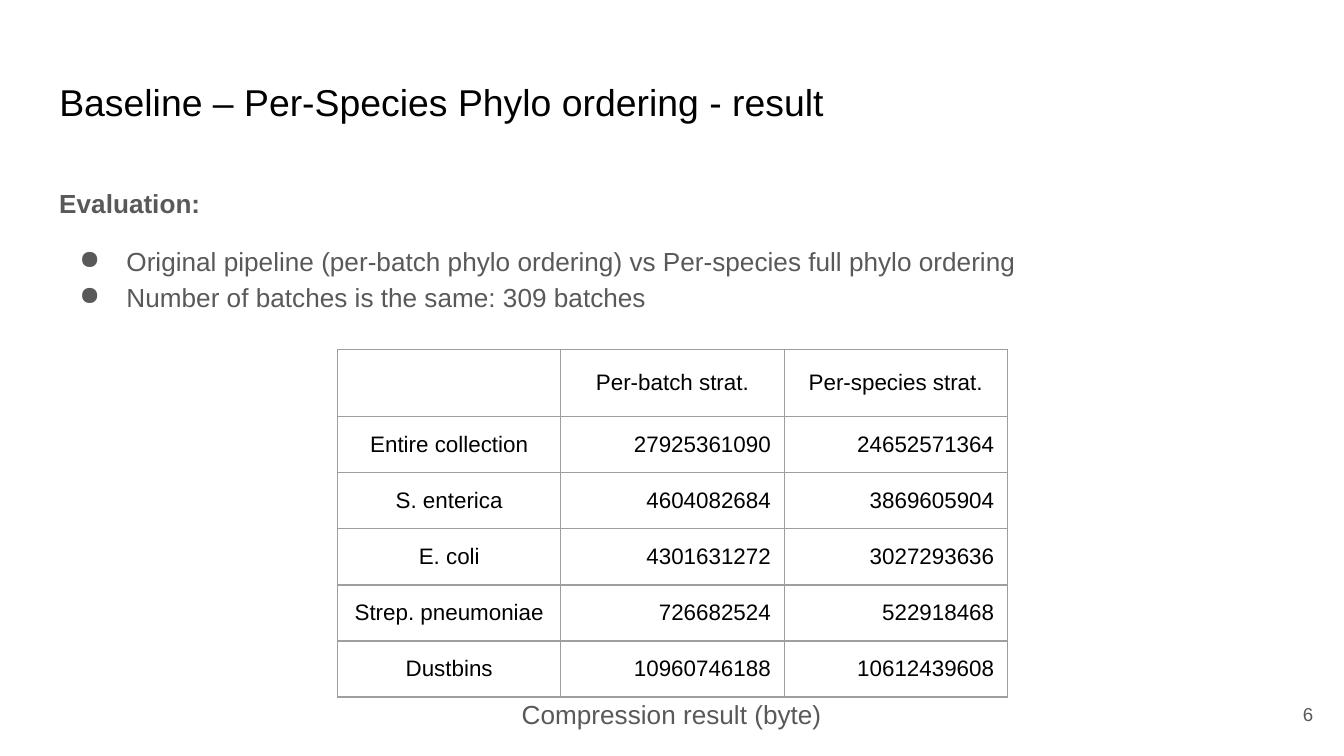
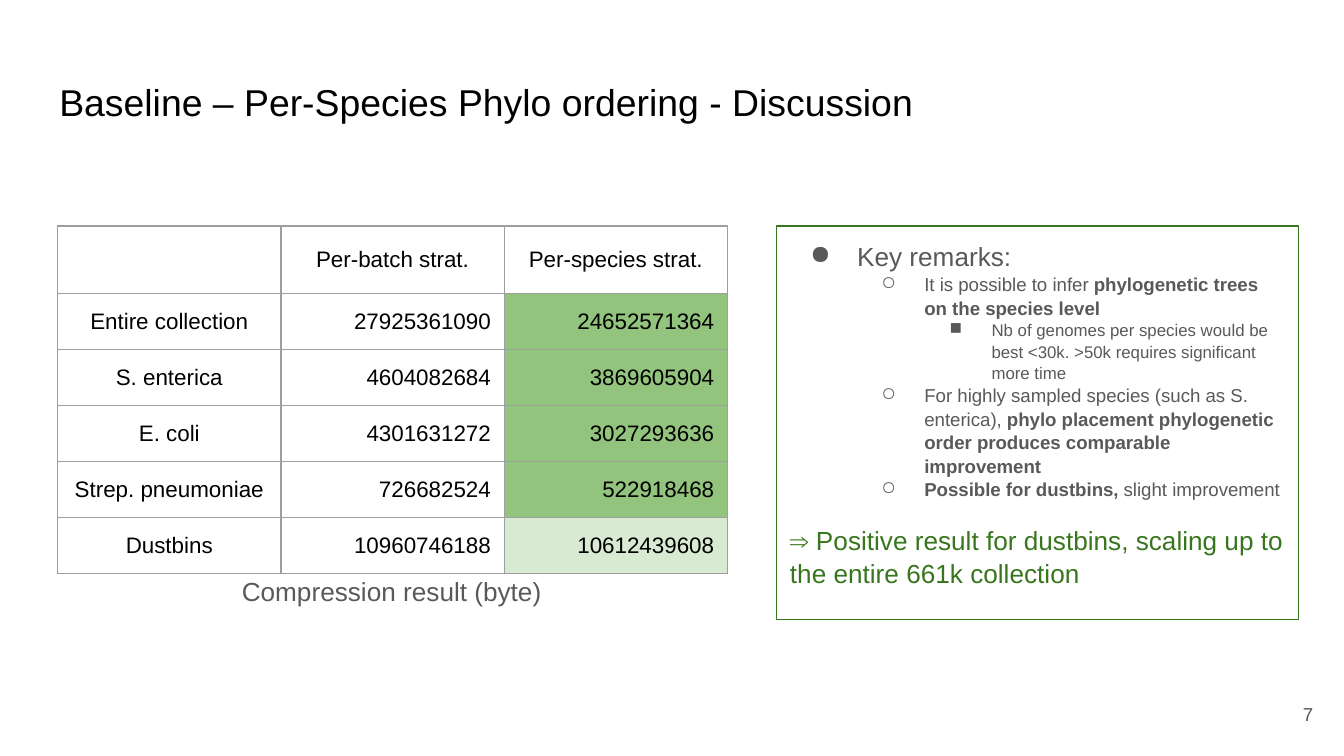
from lxml import etree
from pptx import Presentation
from pptx.dml.color import RGBColor
from pptx.enum.shapes import MSO_SHAPE
from pptx.enum.text import MSO_ANCHOR, MSO_AUTO_SIZE, PP_ALIGN
from pptx.oxml.ns import qn
from pptx.util import Cm, Pt

RECT = MSO_SHAPE.RECTANGLE
TOP, MIDDLE = MSO_ANCHOR.TOP, MSO_ANCHOR.MIDDLE
LEFT, CENTER, RIGHT = PP_ALIGN.LEFT, PP_ALIGN.CENTER, PP_ALIGN.RIGHT
NO_FIT = MSO_AUTO_SIZE.NONE
TITLE_ONLY = 5

COLORS = {
    "title": "000000",
    "body": "595959",
    "border": "9E9E9E",
    "accent": "38761D",
    "strong": "93C47D",
    "slight": "D9EAD3",
}
FONT = "Arial"
INSET = Cm(0.25)
COL_W, HEAD_H, ROW_H = 4.22, 1.21, 1.06
TITLE_BOX = (0.87, 1.24, 23.67, 1.6)
EVALUATION_BOX = (0.87, 3.2, 23.67, 3.48)
NUMBER_BOX = (23.55, 12.96, 1.52, 1.09)
REMARKS_BOX = (14.68, 4.27, 9.86, 7.44)

RESULTS = [
    ("", "Per-batch strat.", "Per-species strat."),
    ("Entire collection", "27925361090", "24652571364"),
    ("S. enterica", "4604082684", "3869605904"),
    ("E. coli", "4301631272", "3027293636"),
    ("Strep. pneumoniae", "726682524", "522918468"),
    ("Dustbins", "10960746188", "10612439608"),
]
BULLETS = [("●", -0.89), ("○", -0.81), ("■", -0.79)]


def rgb(name):
    return RGBColor.from_string(COLORS[name])


def set_attrs(obj, values):
    for name, value in values.items():
        setattr(obj, name, value)


def add_run(p, text, size, color="body", bold=False):
    r = p.add_run()
    r.text = text
    set_attrs(r.font, {"name": FONT, "size": Pt(size), "bold": bold})
    r.font.color.rgb = rgb(color)


def set_bullet(p, level):
    char, indent = BULLETS[level]
    p.level = level
    pPr = p._p.get_or_add_pPr()
    pPr.set("marL", str(Cm(1.27 * (level + 1))))
    pPr.set("indent", str(Cm(indent)))
    clr = etree.SubElement(pPr, qn("a:buClr"))
    etree.SubElement(clr, qn("a:srgbClr"), val=COLORS["body"])
    etree.SubElement(pPr, qn("a:buChar"), char=char)


def set_frame(tf, anchor=TOP):
    set_attrs(tf, {
        "word_wrap": True, "auto_size": NO_FIT, "vertical_anchor": anchor,
        "margin_left": INSET, "margin_right": INSET,
        "margin_top": INSET, "margin_bottom": INSET,
    })


def add_text(s, box, text, size, align, anchor=TOP):
    tf = s.shapes.add_textbox(*map(Cm, box)).text_frame
    set_frame(tf, anchor)
    p = tf.paragraphs[0]
    p.alignment = align
    add_run(p, text, size)


def fill_paragraphs(tf, items, spacing):
    for i, (level, runs, fmt) in enumerate(items):
        p = tf.paragraphs[0] if i == 0 else tf.add_paragraph()
        set_attrs(p, {"alignment": LEFT, "line_spacing": spacing, **fmt})
        if level is not None:
            set_bullet(p, level)
        for run in runs:
            add_run(p, *run)


def add_slide(prs, title, number):
    s = prs.slides.add_slide(prs.slide_layouts[TITLE_ONLY])
    sp = s.shapes.title
    set_attrs(sp, dict(zip(("left", "top", "width", "height"), map(Cm, TITLE_BOX))))
    set_frame(sp.text_frame)
    p = sp.text_frame.paragraphs[0]
    p.alignment = LEFT
    add_run(p, title, 20, "title")
    add_text(s, NUMBER_BOX, str(number), 10, RIGHT, MIDDLE)
    return s


def set_borders(cell):
    tcPr = cell._tc.get_or_add_tcPr()
    for i, side in enumerate(("a:lnL", "a:lnR", "a:lnT", "a:lnB")):
        ln = etree.Element(qn(side), w=str(Pt(0.75)))
        fill = etree.SubElement(ln, qn("a:solidFill"))
        etree.SubElement(fill, qn("a:srgbClr"), val=COLORS["border"])
        tcPr.insert(i, ln)


def format_cell(cell, text, align, fill):
    set_attrs(cell, {
        "vertical_anchor": MIDDLE, "margin_left": INSET, "margin_right": INSET,
        "margin_top": INSET, "margin_bottom": INSET,
    })
    if fill:
        cell.fill.solid()
        cell.fill.fore_color.rgb = rgb(fill)
    else:
        cell.fill.background()
    set_borders(cell)
    if text:
        p = cell.text_frame.paragraphs[0]
        p.alignment = align
        add_run(p, text, 12, "title")


def add_results(s, left, top, highlight=False):
    heights = [HEAD_H] + [ROW_H] * (len(RESULTS) - 1)
    cols = len(RESULTS[0])
    box = (left, top, COL_W * cols, sum(heights))
    table = s.shapes.add_table(len(RESULTS), cols, *map(Cm, box)).table
    set_attrs(table, {"first_row": False, "horz_banding": False})
    for col in table.columns:
        col.width = Cm(COL_W)
    for i, (row, height) in enumerate(zip(RESULTS, heights)):
        table.rows[i].height = Cm(height)
        for j, text in enumerate(row):
            fill = None
            if highlight and i and j == cols - 1:
                fill = "slight" if row[0] == "Dustbins" else "strong"
            align = RIGHT if i and j else CENTER
            format_cell(table.cell(i, j), text, align, fill)
    caption = (left + 2.39, top + 6.35, 7.85, 1.12)
    add_text(s, caption, "Compression result (byte)", 14, CENTER)


def add_evaluation(s, box):
    tf = s.shapes.add_textbox(*map(Cm, box)).text_frame
    set_frame(tf)
    fill_paragraphs(tf, [
        (None, [("Evaluation:", 14, "body", True)], {}),
        (0, [("Original pipeline (per-batch phylo ordering) vs "
              "Per-species full phylo ordering", 14)], {"space_before": Pt(12)}),
        (0, [("Number of batches is the same: 309 batches", 14)], {}),
    ], 1.15)


def add_remarks(s, box):
    sp = s.shapes.add_shape(RECT, *map(Cm, box))
    sp.shadow.inherit = False
    sp.fill.background()
    sp.line.color.rgb = rgb("accent")
    sp.line.width = Pt(0.75)
    set_frame(sp.text_frame)
    fill_paragraphs(sp.text_frame, [
        (0, [("Key remarks:", 14)], {}),
        (1, [("It is possible to infer ", 10),
             ("phylogenetic trees on the species level", 10, "body", True)], {}),
        (2, [("Nb of genomes per species would be best <30k. "
              ">50k requires significant more time", 9)], {}),
        (1, [("For highly sampled species (such as S. enterica), ", 10),
             ("phylo placement phylogenetic order produces comparable improvement",
              10, "body", True)], {}),
        (1, [("Possible for dustbins,", 10, "body", True),
             (" slight improvement", 10)], {}),
        (None, [("⇒ Positive result for dustbins, scaling up to the entire "
                 "661k collection", 14, "accent")],
         {"space_before": Pt(12), "space_after": Pt(12)}),
    ], 1.05)


def build_result(prs):
    s = add_slide(prs, "Baseline – Per-Species Phylo ordering - result", 6)
    add_evaluation(s, EVALUATION_BOX)
    add_results(s, 6.38, 6.6)


def build_discussion(prs):
    s = add_slide(prs, "Baseline – Per-Species Phylo ordering - Discussion", 7)
    add_results(s, 1.09, 4.27, highlight=True)
    add_remarks(s, REMARKS_BOX)


def main():
    prs = Presentation()
    set_attrs(prs, {"slide_width": Cm(25.4), "slide_height": Cm(14.29)})
    build_result(prs)
    build_discussion(prs)
    prs.save("out.pptx")


if __name__ == "__main__":
    main()
